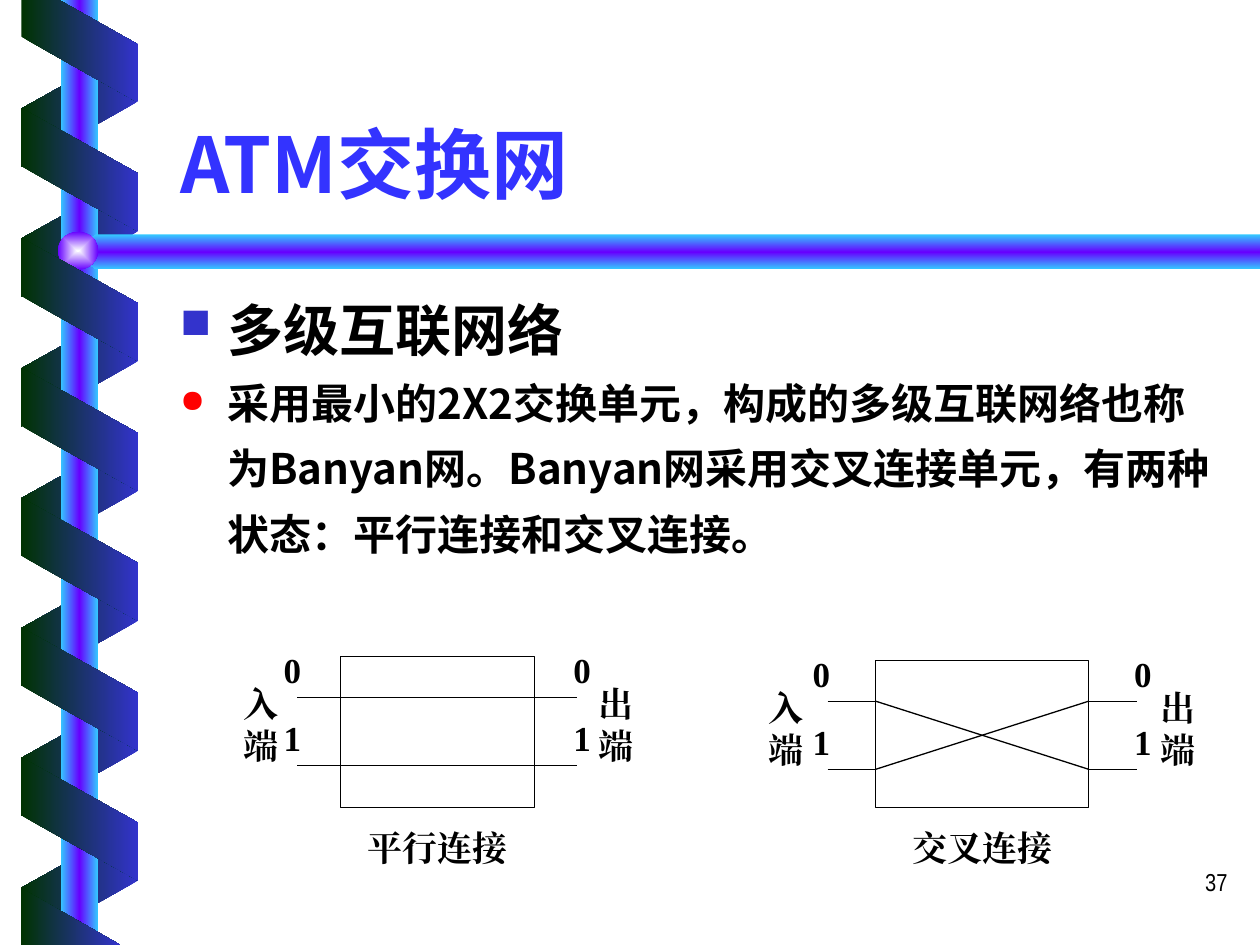
from dataclasses import dataclass

from lxml import etree
from pptx import Presentation
from pptx.dml.color import RGBColor
from pptx.enum.shapes import MSO_CONNECTOR, MSO_SHAPE
from pptx.enum.text import MSO_ANCHOR, PP_ALIGN
from pptx.oxml import parse_xml
from pptx.oxml.ns import nsdecls, qn
from pptx.util import Pt

LEFT, CENTER, RIGHT = PP_ALIGN.LEFT, PP_ALIGN.CENTER, PP_ALIGN.RIGHT
TOP, MIDDLE, BOTTOM = MSO_ANCHOR.TOP, MSO_ANCHOR.MIDDLE, MSO_ANCHOR.BOTTOM
RECTANGLE, OVAL = MSO_SHAPE.RECTANGLE, MSO_SHAPE.OVAL
PARALLELOGRAM = MSO_SHAPE.PARALLELOGRAM
STRAIGHT = MSO_CONNECTOR.STRAIGHT

BLACK = RGBColor(0x00, 0x00, 0x00)
TITLE_BLUE = RGBColor(0x33, 0x33, 0xFF)
RIBBON_BLUE = RGBColor(0x33, 0x33, 0xCC)
RIBBON_GREEN = RGBColor(0x00, 0x33, 0x00)
SKY = RGBColor(0x33, 0xCC, 0xFF)
VIOLET = RGBColor(0x66, 0x00, 0xFF)
NEAR_WHITE = RGBColor(0xFE, 0xFF, 0xFF)
RED = RGBColor(0xFF, 0x00, 0x00)

SANS, SERIF, NARROW = "Noto Sans CJK SC", "Times New Roman", "Arial Narrow"
FRONT_COLORS = (RIBBON_GREEN, RIBBON_BLUE)
BACK_COLORS = (RIBBON_BLUE, RIBBON_GREEN)
BAR_COLORS = (SKY, VIOLET, SKY)
RIBBON_STEP = 74.2
LINE_WIDTH = 0.75


@dataclass(frozen=True)
class Bullet:
    character: str
    color: RGBColor
    indent: float = 27
    percent: int = 75


@dataclass(frozen=True)
class SwitchUnit:
    left: float
    top: float
    width: float
    height: float
    lead: float
    label_width: float
    caption: str
    crossed: bool


UNITS = (
    SwitchUnit(194.4, 375.1, 110.9, 86.4, 24.5, 18.7, "平行连接", False),
    SwitchUnit(500.4, 377.3, 121.7, 84.2, 27.4, 20.2, "交叉连接", True),
)


def fill_gradient(shape, colors: tuple, angle: int = 0, centered: bool = False) -> None:
    """Fill with evenly spaced colours, along a page angle or out from the centre."""
    shape.shadow.inherit = False
    shape.line.fill.background()
    shape.fill.background()
    stops = "".join(
        f'<a:gs pos="{100000 * index // (len(colors) - 1)}"><a:srgbClr val="{color}"/></a:gs>'
        for index, color in enumerate(colors)
    )
    if centered:
        direction = ('<a:path path="rect"><a:fillToRect l="50000" t="50000" '
                     'r="50000" b="50000"/></a:path>')
    else:
        direction = f'<a:lin ang="{angle * 60000}" scaled="1"/>'
    properties = shape._element.spPr
    properties.replace(properties.find(qn("a:noFill")), parse_xml(
        f'<a:gradFill {nsdecls("a")} rotWithShape="0"><a:gsLst>{stops}</a:gsLst>'
        f"{direction}</a:gradFill>"))


def add_preset(page, kind, left: float, top: float, width: float, height: float):
    return page.shapes.add_shape(kind, Pt(left), Pt(top), Pt(width), Pt(height))


def add_outline(page, points: tuple):
    corners = [(Pt(x), Pt(y)) for x, y in points]
    builder = page.shapes.build_freeform(*corners[0])
    builder.add_line_segments(corners[1:], close=True)
    return builder.convert_to_shape()


def add_ribbons(page, first_top: float, count: int, front: bool) -> None:
    for index in range(count):
        ribbon = add_preset(page, PARALLELOGRAM, 10.1, first_top + index * RIBBON_STEP, 70.6, 67)
        ribbon.adjustments[0] = 0.56
        ribbon.rotation = 270 if front else 90
        if not front:
            ribbon._element.spPr.xfrm.set("flipH", "1")
        fill_gradient(ribbon, FRONT_COLORS if front else BACK_COLORS)


def add_line(page, x1: float, y1: float, x2: float, y2: float) -> None:
    line = page.shapes.add_connector(STRAIGHT, Pt(x1), Pt(y1), Pt(x2), Pt(y2))
    line.line.color.rgb = BLACK
    line.line.width = Pt(LINE_WIDTH)
    etree.SubElement(line._element.spPr, qn("a:effectLst"))


def add_bullet(para, bullet: Bullet) -> None:
    properties = para._p.get_or_add_pPr()
    properties.set("marL", str(Pt(bullet.indent)))
    properties.set("indent", str(-Pt(bullet.indent)))
    color = etree.SubElement(properties, qn("a:buClr"))
    etree.SubElement(color, qn("a:srgbClr")).set("val", str(bullet.color))
    etree.SubElement(properties, qn("a:buSzPct")).set("val", str(bullet.percent * 1000))
    etree.SubElement(properties, qn("a:buChar")).set("char", bullet.character)


def write(para, text: str, *, size: float, font: str, color: RGBColor = BLACK,
          bold: bool = True, align=LEFT, spacing: float = 1.0,
          bullet: Bullet | None = None) -> None:
    if bullet:
        add_bullet(para, bullet)
    para.alignment = align
    para.line_spacing = spacing
    span = para.add_run()
    span.text = text
    span.font.size = Pt(size)
    span.font.name = font
    span.font.bold = bold
    span.font.color.rgb = color
    etree.SubElement(span._r.get_or_add_rPr(), qn("a:ea")).set("typeface", font)


def add_frame(page, left: float, top: float, width: float, height: float,
              anchor=TOP, inset: bool = True):
    box = page.shapes.add_textbox(Pt(left), Pt(top), Pt(width), Pt(height))
    frame = box.text_frame
    frame.word_wrap = True
    frame.vertical_anchor = anchor
    if not inset:
        frame.margin_left = frame.margin_right = frame.margin_top = frame.margin_bottom = 0
    return frame


def add_label(page, text: str, left: float, top: float, width: float, height: float = 24) -> None:
    frame = add_frame(page, left, top, width, height, anchor=MIDDLE, inset=False)
    write(frame.paragraphs[0], text, size=20, font=SERIF, align=CENTER)


def add_switch_unit(page, unit: SwitchUnit) -> None:
    right = unit.left + unit.width
    start, end = unit.left - unit.lead, right + unit.lead
    port_left, port_right = start + 6.5 - unit.label_width, end - 6.5
    lines = (unit.top + 23.4, unit.top + 62.3)

    body = add_preset(page, RECTANGLE, unit.left, unit.top, unit.width, unit.height)
    body.shadow.inherit = False
    body.fill.background()
    body.line.color.rgb = BLACK
    body.line.width = Pt(LINE_WIDTH)

    for port, y in enumerate(lines):
        if unit.crossed:
            add_line(page, start, y, unit.left, y)
            add_line(page, unit.left, y, right, lines[1 - port])
            add_line(page, right, y, end, y)
        else:
            add_line(page, start, y, end, y)
        for left in (port_left, port_right):
            add_label(page, str(port), left, y - 27.7, unit.label_width)

    add_label(page, "入端", port_left - unit.label_width, unit.top + 14.8, unit.label_width, 48)
    add_label(page, "出端", port_right + unit.label_width, unit.top + 14.8, unit.label_width, 48)
    add_label(page, unit.caption, unit.left, unit.top + unit.height + 11, unit.width)


def add_decoration(page) -> None:
    add_ribbons(page, 26.6, 7, front=False)
    fill_gradient(add_preset(page, RECTANGLE, 34.6, 0, 21.6, 540), BAR_COLORS)
    bar = add_outline(page, ((720, 134), (54.7, 134), (43.2, 144), (54.7, 154), (720, 154)))
    fill_gradient(bar, BAR_COLORS, angle=90)
    fill_gradient(add_preset(page, OVAL, 33.1, 132.5, 23, 21.6), (NEAR_WHITE, VIOLET),
                  centered=True)
    add_ribbons(page, 63.4, 6, front=True)
    for points in (((12.2, 0), (12.2, 20.9), (78.5, 58.3), (78.5, 25.2), (33.8, 0)),
                   ((68.8, 540), (12.2, 507.6), (12, 540))):
        fill_gradient(add_outline(page, points), FRONT_COLORS)


def main() -> None:
    deck = Presentation()
    deck.slide_width, deck.slide_height = Pt(720), Pt(540)
    page = deck.slides.add_slide(deck.slide_layouts[6])
    add_decoration(page)

    number = add_frame(page, 558.7, 491.8, 149.8, 36)
    write(number.paragraphs[0], "37", size=14, font=NARROW, bold=False, align=RIGHT)
    title = add_frame(page, 95.8, 33.1, 612, 90, anchor=BOTTOM)
    write(title.paragraphs[0], "ATM交换网", size=44, font=SANS, color=TITLE_BLUE)
    content = add_frame(page, 95.8, 161.3, 612, 171.4)
    write(content.paragraphs[0], "多级互联网络", size=32, font=SANS, spacing=1.1,
          bullet=Bullet("■", RIBBON_BLUE))
    write(content.add_paragraph(),
          "采用最小的2X2交换单元，构成的多级互联网络也称为Banyan网。"
          "Banyan网采用交叉连接单元，有两种状态：平行连接和交叉连接。",
          size=24, font=SANS, spacing=1.3, bullet=Bullet("●", RED))

    for unit in UNITS:
        add_switch_unit(page, unit)
    deck.save("out.pptx")


if __name__ == "__main__":
    main()
